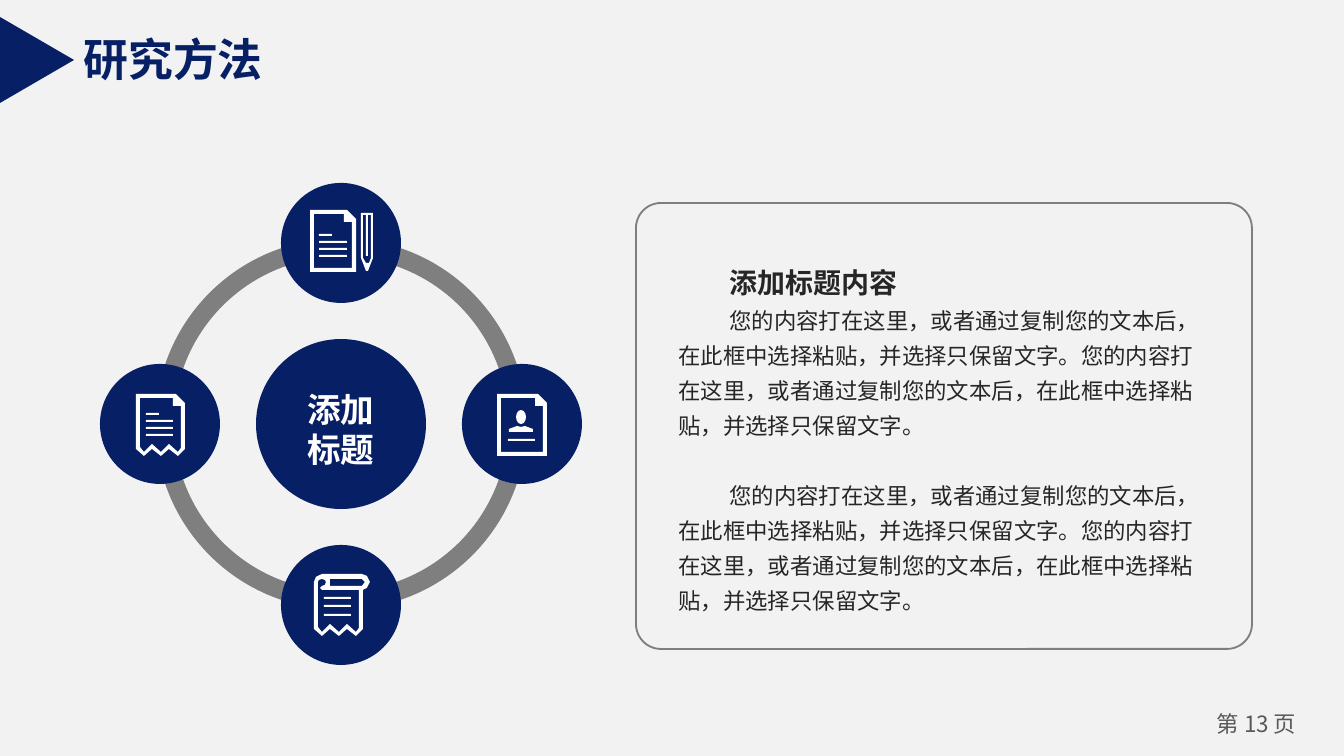
from dataclasses import dataclass

import lxml.etree
import pptx
import pptx.dml.color
import pptx.enum.shapes
import pptx.enum.text
import pptx.oxml.ns
import pptx.util

EMU_PER_PX = 914400 / 134.4
SHAPE = pptx.enum.shapes.MSO_SHAPE
ALIGN = pptx.enum.text.PP_ALIGN
ANCHOR = pptx.enum.text.MSO_ANCHOR


@dataclass(frozen=True)
class Theme:
    paper: str = "F2F2F2"
    navy: str = "071F65"
    grey: str = "7F7F7F"
    white: str = "FFFFFF"
    ink: str = "262626"
    muted: str = "595959"
    latin: str = "Arial"
    cjk: str = "Noto Sans CJK SC"
    title: int = 24
    hub: int = 18
    heading: int = 15
    body: int = 12


THEME = Theme()
HUB = (341, 424)
ORBIT = 181
ADVICE = "您的内容打在这里，或者通过复制您的文本后，在此框中选择粘贴，并选择只保留文字。" * 2

HEM = [(49, 55), (42, 62), (33, 55), (25, 62), (16, 55), (8, 62), (0, 55)]
INNER_HEM = [(45, 54), (42, 58), (33, 50), (25, 58), (16, 50), (8, 58), (4, 53)]
PEN = [
    [(0, 0), (12, 0), (12, 45), (7, 58), (5, 58), (0, 45)],
    [(2, 2), (5, 2), (5, 43), (7, 43), (7, 2), (10, 2), (10, 45), (8, 50), (5, 50), (2, 45)],
]
SCROLL = [
    [(8, 0), (48, 0), (53, 2), (56, 8), (53, 14), (49, 16), *HEM, (0, 8), (2, 3)],
    [(4, 8), (5, 6), (8, 5), (11, 6), (12, 8), (11, 11), (8, 12), (6, 14), (8, 16), (45, 16), *INNER_HEM],
    [(16, 5), (48, 5), (51, 8), (48, 12), (16, 12)],
]
SHOULDERS = [[(0, 6), (0, 3), (8, 0), (12, 1), (16, 0), (24, 3), (24, 6)]]


def px(value):
    return pptx.util.Emu(round(value * EMU_PER_PX))


def rgb(value):
    return pptx.dml.color.RGBColor.from_string(value)


def paint(shape, fill=None, line=None, width=1):
    shape.shadow.inherit = False
    if fill:
        shape.fill.solid()
        shape.fill.fore_color.rgb = rgb(fill)
    else:
        shape.fill.background()
    if line:
        shape.line.color.rgb = rgb(line)
        shape.line.width = pptx.util.Pt(width)
    else:
        shape.line.fill.background()
    return shape


def add_preset(slide, kind, x, y, w, h, **colours):
    return paint(slide.shapes.add_shape(kind, px(x), px(y), px(w), px(h)), **colours)


def add_disc(slide, center, radius):
    x, y = center
    return add_preset(slide, SHAPE.OVAL, x - radius, y - radius, 2 * radius, 2 * radius, fill=THEME.navy)


def add_outline(slide, x, y, contours):
    builder = None
    for contour in contours:
        points = [(x + dx, y + dy) for dx, dy in contour]
        if builder is None:
            builder = slide.shapes.build_freeform(*points[0], scale=EMU_PER_PX)
        else:
            builder.move_to(*points[0])
        builder.add_line_segments(points[1:], close=True)
    return paint(builder.convert_to_shape(), fill=THEME.white)


def add_rules(slide, x, y, rows):
    for row, width in rows:
        add_preset(slide, SHAPE.ROUNDED_RECTANGLE, x, y + row, width, 2, fill=THEME.white)


def page_contours(width, height=62, ragged=False):
    hem = HEM if ragged else [(width, height), (0, height)]
    inner_hem = INNER_HEM if ragged else [(width - 4, height - 4), (4, height - 4)]
    fold = width - 12
    return [
        [(0, 0), (width - 9, 0), (width, 9), *hem],
        [(4, 4), (fold, 4), (fold, 12), (width - 4, 12), *inner_hem],
    ]


def style_paragraph(paragraph, size, color, latin=THEME.cjk, bold=False, align=ALIGN.LEFT, pitch=None, before=0):
    paragraph.alignment = align
    paragraph.space_before = pptx.util.Pt(before)
    if pitch:
        paragraph.line_spacing = pptx.util.Pt(pitch)
    font = paragraph.font
    font.size = pptx.util.Pt(size)
    font.bold = bold
    font.name = latin
    font.color.rgb = rgb(color)
    defaults = paragraph._p.pPr.find(pptx.oxml.ns.qn("a:defRPr"))
    lxml.etree.SubElement(defaults, pptx.oxml.ns.qn("a:ea")).set("typeface", THEME.cjk)


def indent_first_line(paragraph, indent):
    properties = paragraph._p.pPr
    properties.set("marL", "0")
    properties.set("indent", str(px(indent)))
    no_bullet = lxml.etree.Element(pptx.oxml.ns.qn("a:buNone"))
    properties.find(pptx.oxml.ns.qn("a:defRPr")).addprevious(no_bullet)


def place_frame(shape, x, y, w, h, anchor, wrap=True):
    shape.left, shape.top, shape.width, shape.height = px(x), px(y), px(w), px(h)
    frame = shape.text_frame
    frame.word_wrap = wrap
    frame.auto_size = pptx.enum.text.MSO_AUTO_SIZE.NONE
    frame.vertical_anchor = anchor
    return frame


def add_title(slide):
    frame = place_frame(slide.shapes.title, 70, 25, 208, 67, ANCHOR.MIDDLE, wrap=False)
    frame.text = "研究方法"
    style_paragraph(frame.paragraphs[0], THEME.title, THEME.navy, THEME.latin, bold=True)
    add_preset(slide, SHAPE.ISOSCELES_TRIANGLE, -6, 23, 86, 74, fill=THEME.navy).rotation = 90


def add_ring(slide):
    x, y = HUB
    for quarter in range(4):
        arc = add_preset(slide, SHAPE.BLOCK_ARC, x - 185, y - 185, 370, 370,
                         fill=THEME.grey, line=THEME.grey, width=0.75)
        arc.adjustments[0] = 54 * quarter
        arc.adjustments[1] = 54 * ((quarter + 1) % 4)
        arc.adjustments[2] = 0.046


def add_hub(slide):
    hub = add_disc(slide, HUB, 85)
    frame = hub.text_frame
    frame.vertical_anchor = ANCHOR.MIDDLE
    frame.margin_top, frame.margin_bottom = px(10), 0
    frame.text = "添加\n标题"
    for paragraph in frame.paragraphs:
        style_paragraph(paragraph, THEME.hub, THEME.white, THEME.latin, True, ALIGN.CENTER, pitch=21.5)


def draw_document(slide, x, y):
    add_outline(slide, x - 31, y - 33, page_contours(46))
    add_rules(slide, x - 22, y - 9, [(0, 13), (7, 28), (14, 28), (21, 28)])
    add_outline(slide, x + 20, y - 30, PEN)


def draw_receipt(slide, x, y):
    add_outline(slide, x - 24, y - 30, page_contours(49, ragged=True))
    add_rules(slide, x - 14, y - 11, [(0, 13), (7, 27), (14, 27), (21, 27)])


def draw_profile(slide, x, y):
    add_outline(slide, x - 25, y - 30, page_contours(50))
    add_preset(slide, SHAPE.OVAL, x - 6, y - 14, 10, 14, fill=THEME.white)
    add_outline(slide, x - 13, y + 2, SHOULDERS)
    add_rules(slide, x - 14, y + 15, [(0, 27)])


def draw_scroll(slide, x, y):
    add_outline(slide, x - 27, y - 31, SCROLL)
    add_rules(slide, x - 17, y - 8, [(0, 27), (8, 27), (17, 27)])


def add_satellites(slide):
    directions = [(0, 1, draw_scroll), (-1, 0, draw_receipt), (0, -1, draw_document), (1, 0, draw_profile)]
    for dx, dy, draw_icon in directions:
        center = (HUB[0] + dx * ORBIT, HUB[1] + dy * ORBIT)
        add_disc(slide, center, 60)
        draw_icon(slide, *center)


def add_explanation(slide):
    panel = add_preset(slide, SHAPE.ROUNDED_RECTANGLE, 636, 203, 616, 446, line=THEME.grey)
    panel.adjustments[0] = 0.056
    frame = place_frame(slide.placeholders[1], 665, 223, 558, 409, ANCHOR.TOP)
    frame.text = "\n".join(["添加标题内容", ADVICE, ADVICE])
    heading, first, second = frame.paragraphs
    style_paragraph(heading, THEME.heading, THEME.ink, bold=True, pitch=37)
    style_paragraph(first, THEME.body, THEME.ink, pitch=18.75)
    style_paragraph(second, THEME.body, THEME.ink, pitch=18.75, before=18.75)
    for paragraph in frame.paragraphs:
        indent_first_line(paragraph, 51)


def add_page_number(slide):
    number = slide.shapes.add_textbox(0, 0, 0, 0)
    frame = place_frame(number, 1196, 704, 121, 40, ANCHOR.MIDDLE)
    frame.margin_top = frame.margin_bottom = 0
    frame.text = "第 13 页"
    style_paragraph(frame.paragraphs[0], THEME.body, THEME.muted, align=ALIGN.CENTER)


def main():
    deck = pptx.Presentation()
    deck.slide_width, deck.slide_height = px(1344), px(756)
    slide = deck.slides.add_slide(deck.slide_layouts[1])
    slide.background.fill.solid()
    slide.background.fill.fore_color.rgb = rgb(THEME.paper)
    add_page_number(slide)
    add_hub(slide)
    add_ring(slide)
    add_satellites(slide)
    add_explanation(slide)
    add_title(slide)
    deck.save("out.pptx")


if __name__ == "__main__":
    main()
